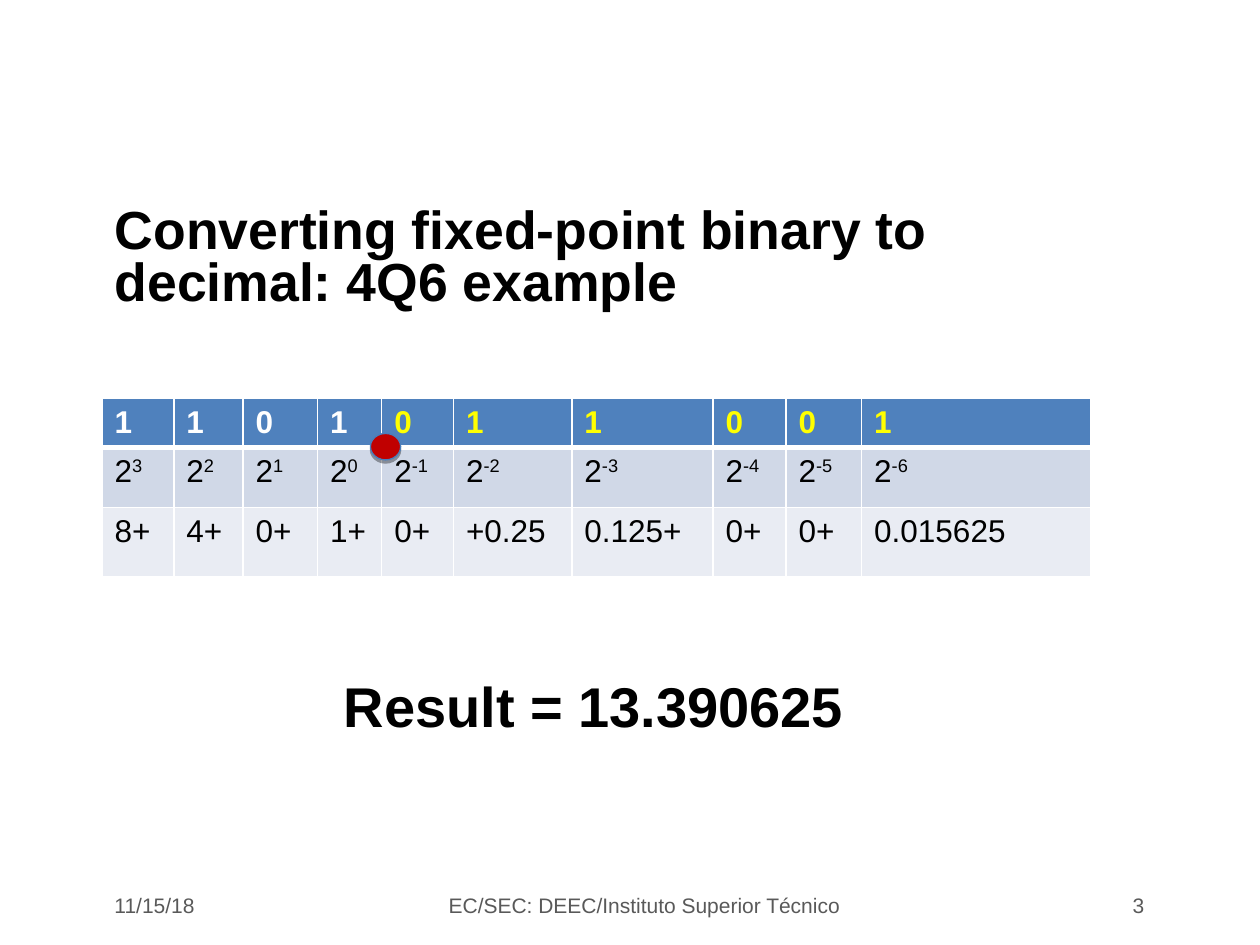
from lxml.etree import SubElement
from pptx import Presentation
from pptx.dml.color import RGBColor
from pptx.enum.shapes import MSO_SHAPE
from pptx.enum.text import MSO_ANCHOR, MSO_AUTO_SIZE, PP_ALIGN
from pptx.oxml.ns import qn
from pptx.util import Inches, Pt

COLORS = {"text": "000000", "muted": "595959", "white": "FFFFFF",
          "fraction": "FFFF00", "header": "4F81BD", "band": "D0D8E7",
          "light": "E9ECF3", "point": "C00000", "outline": "4A7EBB"}
BITS = "1101011001"
INTEGER_BITS = 4
TERMS = ["8+", "4+", "0+", "1+", "0+", "+0.25", "0.125+", "0+", "0+", "0.015625"]
COLUMNS = [5.7, 5.5, 5.9, 5.1, 5.7, 9.4, 11.2, 5.8, 6, 18.2]
ROWS = [3.9, 4.8, 5.5]


def rgb(name):
    return RGBColor.from_string(COLORS[name])


class Deck:
    """Holds the style and current slide on a grid of 100 columns by 75 rows."""

    font = "Arial"

    def __init__(self):
        self.prs = Presentation()
        self.prs.slide_width, self.prs.slide_height = Inches(10), Inches(7.5)
        self.unit = self.prs.slide_width / 100
        self.s = self.prs.slides.add_slide(self.prs.slide_layouts[5])

    def grid(self, *values):
        return [round(v * self.unit) for v in values]

    def style(self, p, size, color, bold=False, align=PP_ALIGN.LEFT):
        p.alignment = align
        f = p.font
        f.name, f.size, f.bold = self.font, Pt(size), bold
        f.color.rgb = rgb(color)

    def title(self, text, box, size):
        sp = self.s.shapes.title
        sp.left, sp.top, sp.width, sp.height = self.grid(*box)
        tf = sp.text_frame
        tf.text = text
        tf.word_wrap, tf.auto_size = True, MSO_AUTO_SIZE.NONE
        tf.vertical_anchor = MSO_ANCHOR.MIDDLE
        p = tf.paragraphs[0]
        p.line_spacing = 0.8
        self.style(p, size, "text", True)

    def text(self, text, box, size, color, bold=False, align=PP_ALIGN.LEFT,
             anchor=MSO_ANCHOR.MIDDLE, wrap=True):
        tf = self.s.shapes.add_textbox(*self.grid(*box)).text_frame
        tf.text = text
        tf.word_wrap, tf.vertical_anchor = wrap, anchor
        if not wrap:
            tf.auto_size = MSO_AUTO_SIZE.SHAPE_TO_FIT_TEXT
        self.style(tf.paragraphs[0], size, color, bold, align)

    def border(self, cell, side, width):
        ln = SubElement(cell._tc.get_or_add_tcPr(), qn(f"a:ln{side}"), w=str(Pt(width)))
        SubElement(SubElement(ln, qn("a:solidFill")), qn("a:srgbClr"), val=COLORS["white"])

    def cell(self, cell, text, power, fill, color, header):
        p = cell.text_frame.paragraphs[0]
        self.style(p, 18, color, header)
        p.add_run().text = text
        if power:
            r = p.add_run()
            r.text = power
            r._r.get_or_add_rPr().set("baseline", "30000")
        for side in "LRTB":
            self.border(cell, side, 3 if header and side == "B" else 0.96)
        cell.fill.solid()
        cell.fill.fore_color.rgb = rgb(fill)

    def bit_table(self, left, top):
        box = self.grid(left, top, sum(COLUMNS), sum(ROWS))
        table = self.s.shapes.add_table(len(ROWS), len(BITS), *box).table
        for column, width in zip(table.columns, self.grid(*COLUMNS)):
            column.width = width
        for row, height in zip(table.rows, self.grid(*ROWS)):
            row.height = height
        for i, (bit, term) in enumerate(zip(BITS, TERMS)):
            color = "white" if i < INTEGER_BITS else "fraction"
            power = str(INTEGER_BITS - 1 - i)
            self.cell(table.cell(0, i), bit, "", "header", color, True)
            self.cell(table.cell(1, i), "2", power, "band", "text", False)
            self.cell(table.cell(2, i), term, "", "light", "text", False)

    def dot(self, box):
        sp = self.s.shapes.add_shape(MSO_SHAPE.OVAL, *self.grid(*box))
        sp.fill.solid()
        sp.fill.fore_color.rgb = rgb("point")
        sp.line.color.rgb = rgb("outline")
        sp.line.width = Pt(0.75)
        sp.shadow.inherit = False
        effects = sp._element.spPr.find(qn("a:effectLst"))
        shadow = SubElement(effects, qn("a:outerShdw"), dist=str(Pt(1.8)),
                            dir="5400000", rotWithShape="0")
        color = SubElement(shadow, qn("a:srgbClr"), val=COLORS["text"])
        SubElement(color, qn("a:alpha"), val="35000")


def main():
    deck = Deck()
    deck.title("Converting fixed-point binary to decimal: 4Q6 example",
               (8.1, 15.9, 83.7, 9.5), 30.6)
    deck.bit_table(8.1, 31.6)
    for text, left, width, align in [
            ("11/15/18", 8.1, 20.2, PP_ALIGN.LEFT),
            ("EC/SEC: DEEC/Instituto Superior Técnico", 34.2, 33.9, PP_ALIGN.CENTER),
            ("3", 71.8, 20, PP_ALIGN.RIGHT)]:
        deck.text(text, (left, 70.1, width, 3.4), 12, "muted", align=align)
    deck.dot((29.4, 34.4, 2.4, 2.1))
    deck.text("Result = 13.390625", (26.3, 52.8, 41.7, 6.3), 32, "text", True,
              anchor=MSO_ANCHOR.TOP, wrap=False)
    deck.prs.save("out.pptx")


if __name__ == "__main__":
    main()
